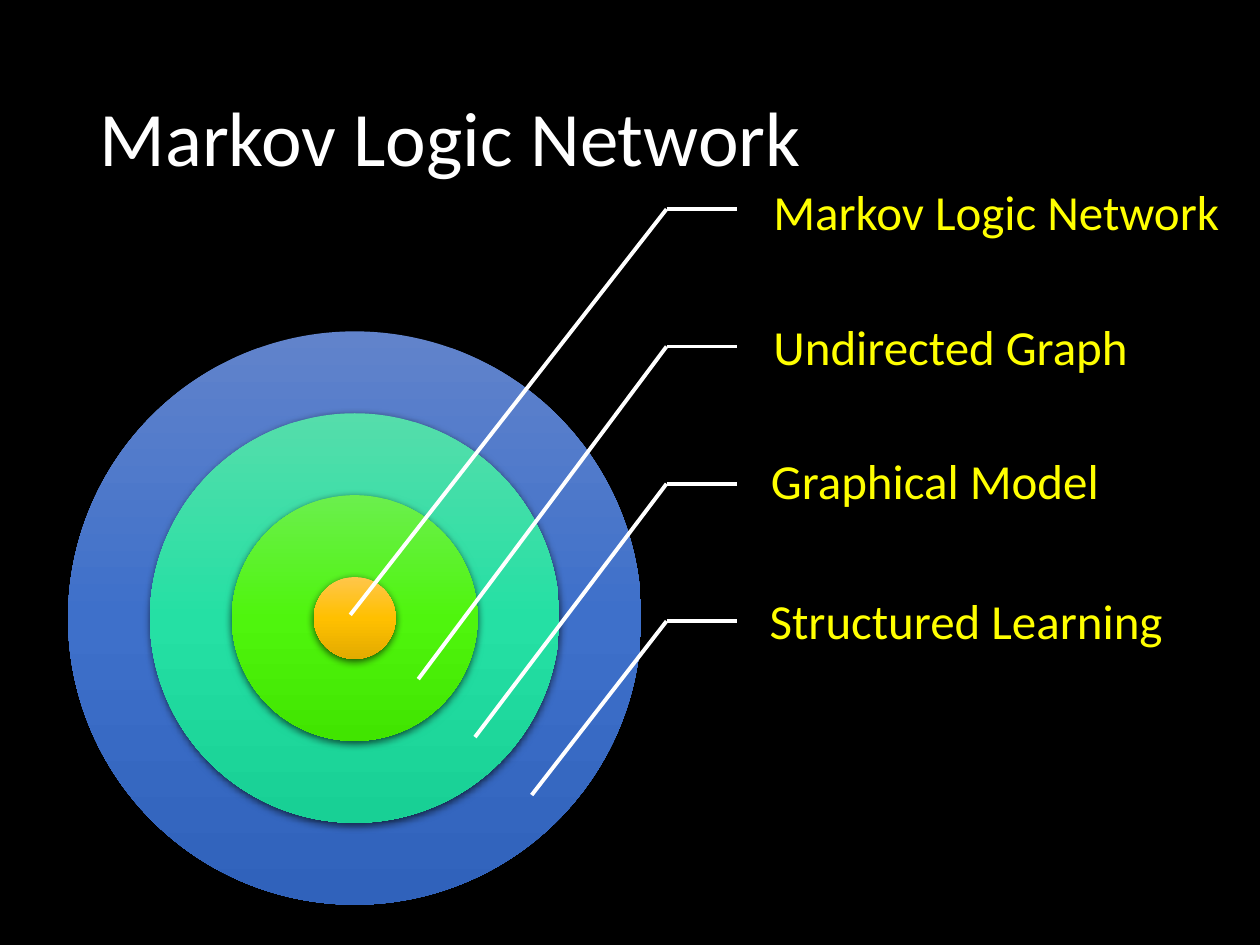
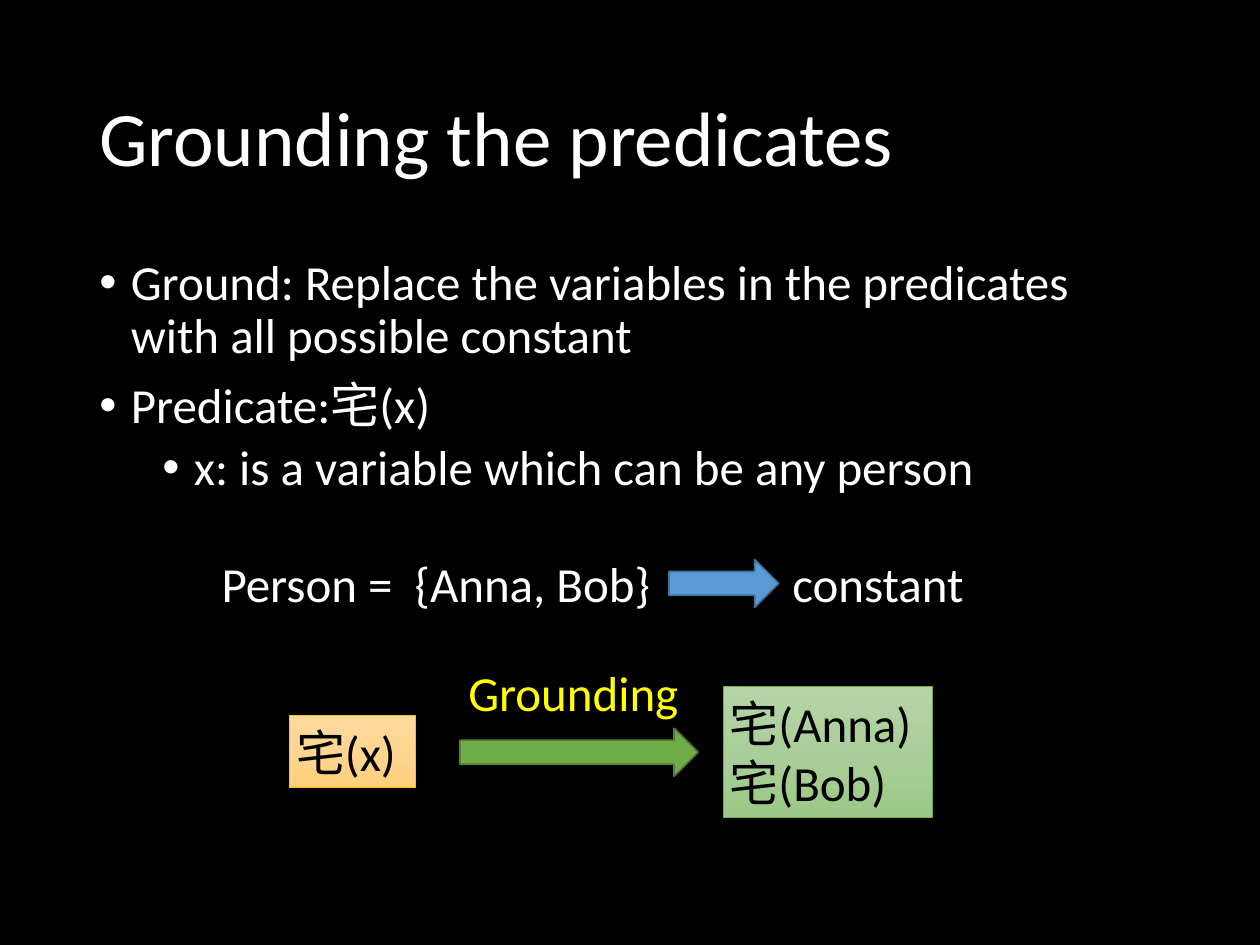
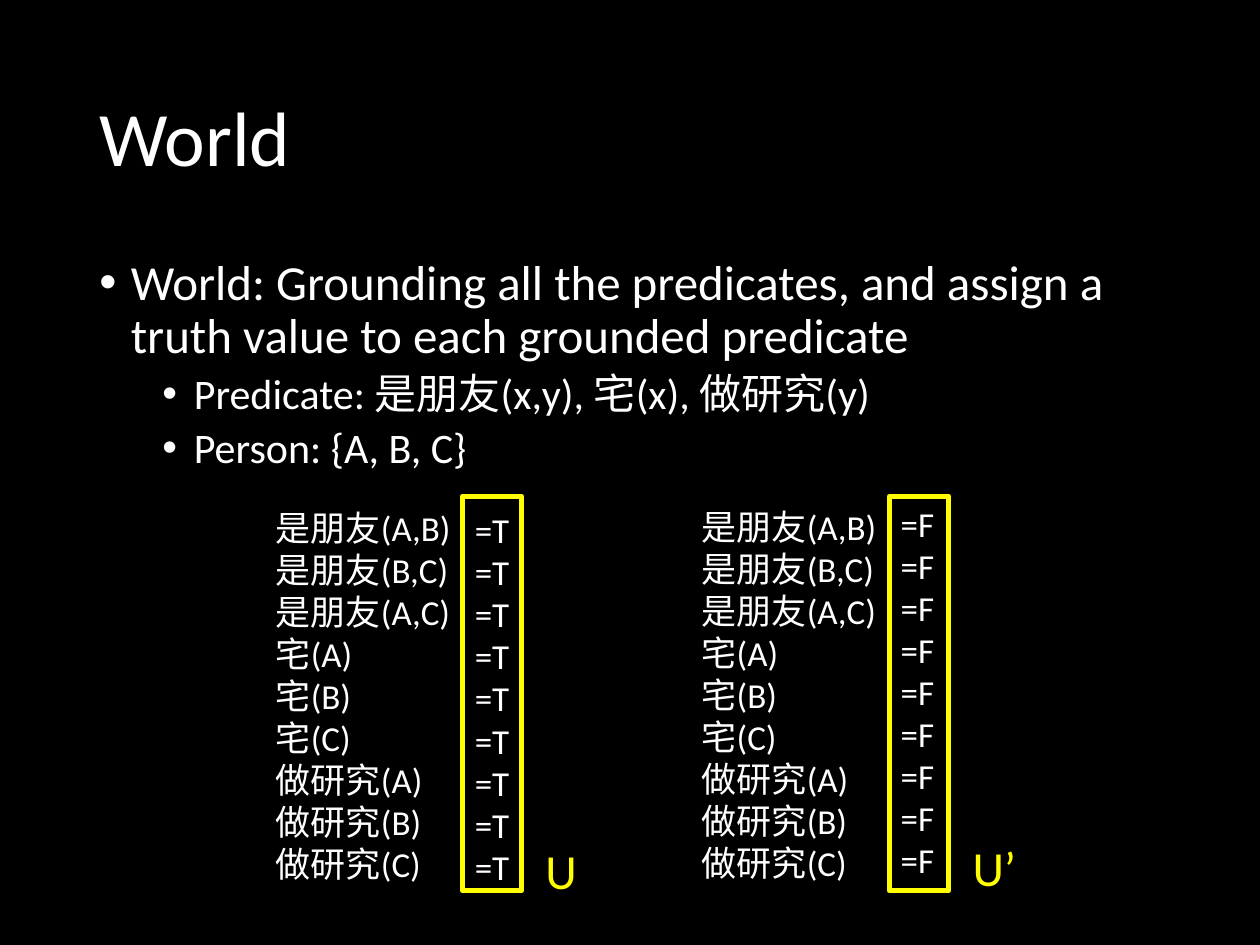
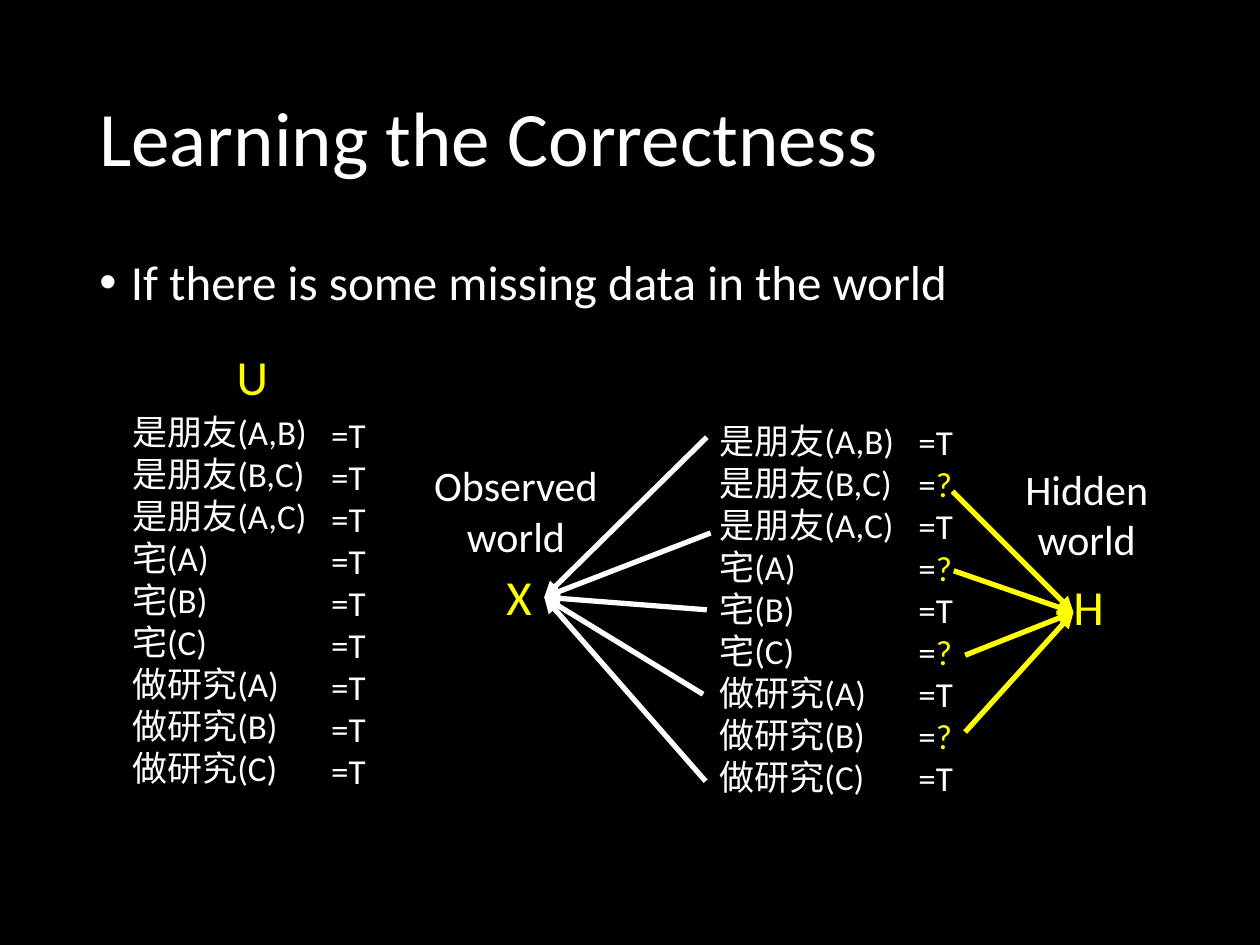
from lxml.etree import SubElement as Sub
from pptx import Presentation
from pptx.dml.color import RGBColor as Rgb
from pptx.enum.shapes import MSO_CONNECTOR as Link, MSO_SHAPE as Form
from pptx.enum.text import MSO_ANCHOR as Anchor, MSO_AUTO_SIZE as Fit, PP_ALIGN as Align
from pptx.oxml.ns import qn
from pptx.util import Inches, Pt

COLS, ROWS = 100, 75
CELL = Inches(10) // COLS
FONT = "Calibri"
HUE = {
    "back": "000000", "text": "FFFFFF", "key": "FFFF00", "ink": "000000",
    "blue": "5B9BD5", "navy": "43739E", "green": "70AD47", "moss": "538035",
    "gold": "FFC000",
}
RINGS = [
    ("6183CB", "3E70CA", "3062BB"),
    ("55DDAB", "25E0A4", "18D095"),
    ("6BEF4D", "4FF50D", "41E500"),
    ("FFC64B", "FFC000", "E3AB00"),
]
SAND = ("FFDB9E", "FFD590", "FFD07C")
LEAF = ("B5D5A7", "AACE9A", "9CC987")
FACTS = [f"{name}({args})" for name, group in (
    ("是朋友", ("A,B", "B,C", "A,C")), ("宅", "ABC"), ("做研究", "ABC"),
) for args in group]
TITLE = (6.9, 4, 86.2, 14.5)
BODY = (6.9, 20, 86.2, 47.6)


def grid(*vals):
    return [round(val * CELL) for val in vals]


def rgb(name):
    return Rgb.from_string(HUE[name])


def write(par, word, size, hue):
    run = par.add_run()
    run.text = word
    run.font.name = FONT
    run.font.size = Pt(size)
    run.font.color.rgb = rgb(hue)


def text(page, box, rows, size=28, hue="text", wrap=True, align=Align.LEFT):
    item = page.shapes.add_textbox(*grid(*box))
    frame = item.text_frame
    frame.word_wrap = wrap
    frame.auto_size = Fit.SHAPE_TO_FIT_TEXT
    for num, row in enumerate(rows):
        par = frame.add_paragraph() if num else frame.paragraphs[0]
        par.alignment = align
        for word, tint in [(row, hue)] if isinstance(row, str) else row:
            write(par, word, size, tint)
    return item


def shade(item, stops):
    item.fill.gradient()
    item.fill.gradient_angle = 270
    found = next(item._element.iter(qn("a:gsLst")))
    for old in list(found):
        found.remove(old)
    for num, tint in enumerate(stops):
        stop = Sub(found, qn("a:gs"), pos=str(num * 50000))
        Sub(stop, qn("a:srgbClr"), val=tint)


def drop(item):
    item.shadow.inherit = False
    glow = item._element.spPr.find(qn("a:effectLst"))
    cast = Sub(glow, qn("a:outerShdw"), blurRad=str(Pt(4.5)), dist=str(Pt(1.5)),
               dir="5400000", algn="ctr", rotWithShape="0")
    tint = Sub(cast, qn("a:srgbClr"), val=HUE["ink"])
    Sub(tint, qn("a:alpha"), val="63000")


def edge(item, hue, width):
    item.line.color.rgb = rgb(hue)
    item.line.width = Pt(width)


def line(page, start, end, hue="text", width=2.25, head=False):
    item = page.shapes.add_connector(Link.STRAIGHT, *grid(*start, *end))
    edge(item, hue, width)
    if head:
        Sub(item.line._get_or_add_ln(), qn("a:tailEnd"), type="triangle")
    Sub(item._element.spPr, qn("a:effectLst"))


def arrow(page, box, fill, rim):
    item = page.shapes.add_shape(Form.RIGHT_ARROW, *grid(*box))
    item.shadow.inherit = False
    item.fill.solid()
    item.fill.fore_color.rgb = rgb(fill)
    edge(item, rim, 1)


def card(page, box, rows, stops, rim):
    item = text(page, box, rows, hue="ink", wrap=False)
    frame = item.text_frame
    frame.margin_left, frame.margin_right = grid(0.5, 0)
    frame.margin_top, frame.margin_bottom = grid(0.3, 0.3)
    frame.vertical_anchor = Anchor.MIDDLE
    shade(item, stops)
    edge(item, rim, 0.5)


def start(deck, title, points=()):
    page = deck.slides.add_slide(deck.slide_layouts[6])
    head = page.shapes.add_textbox(*grid(*TITLE)).text_frame
    head.word_wrap = True
    head.vertical_anchor = Anchor.MIDDLE
    head.paragraphs[0].line_spacing = 0.9
    write(head.paragraphs[0], title, 44, "text")
    if points:
        bullets(page, BODY, points)
    return page


def bullets(page, box, points):
    frame = page.shapes.add_textbox(*grid(*box)).text_frame
    frame.word_wrap = True
    for num, (level, size, word) in enumerate(points):
        par = frame.add_paragraph() if num else frame.paragraphs[0]
        par.level = level
        props = par._p.get_or_add_pPr()
        props.set("marL", str(Inches(0.25 + 0.5 * level)))
        props.set("indent", str(Inches(-0.25)))
        Sub(props, qn("a:buFont"), typeface="Arial")
        Sub(props, qn("a:buChar"), char="•")
        par.line_spacing = 0.9
        if num:
            par.space_before = Pt(5 if level else 10)
        write(par, word, size, "text")


def rings(page, box):
    left, top, wide, high = box
    for num, stops in enumerate(RINGS):
        gap = num * wide / 7
        item = page.shapes.add_shape(
            Form.OVAL, *grid(left + gap, top + gap, wide - 2 * gap, high - 2 * gap))
        shade(item, stops)
        item.line.fill.background()
        drop(item)


def leads(page, box, parts):
    left, top, wide, high = box
    step = high / (len(parts) - 1)
    for num, (word, tip, (dx, dy)) in enumerate(parts):
        knee = (left, top + num * step)
        line(page, knee, (left + wide, knee[1]))
        line(page, knee, (left + tip[0], top + tip[1]))
        text(page, (left + dx, top + dy, 38.4, 5.7), [word], hue="key")


def world(page, box, marks, shift=0.2):
    left, top, wide, high = box
    vals = [[("=", "text"), ("?", "key")] if mark == "?" else "=" + mark
            for mark in marks]
    text(page, (left, top, 16.6, high), FACTS, 20, wrap=False)
    text(page, (left + 15.8, top + shift, wide - 15.8, high), vals, 20)


def frame(page, box, name, spot):
    left, top, wide, high = box
    item = page.shapes.add_shape(Form.RECTANGLE, *grid(*box))
    item.shadow.inherit = False
    item.fill.background()
    edge(item, "key", 3)
    text(page, (left + wide + 0.9, top + spot, 5.5, 5.7), [name], hue="key", wrap=False)


def ground(page, box):
    left, top, wide, high = box
    card(page, (left, top + 4.7, 10, 5.7), ["宅(x)"], SAND, "gold")
    card(page, (left + 34.4, top + 2.4, 16.6, 10.4), ["宅(Anna)", "宅(Bob)"], LEAF, "green")
    arrow(page, (left + 13.5, top + 5.7, 18.9, 3.8), "green", "moss")
    text(page, (left + 12.1, top, 20.8, 5.7), ["Grounding"], hue="key", align=Align.CENTER)


def person(page, box):
    left, top, wide, high = box
    text(page, (left, top, 41.5, high), ["Person =  {Anna, Bob}"])
    text(page, (left + 45.3, top, 21.6, high), ["constant"])
    arrow(page, (left + 36.5, top + 1, 8.7, 3.8), "blue", "navy")


def fan(page, hub, ends, hue):
    for end in ends:
        line(page, end, hub, hue, 3, True)


def main():
    deck = Presentation()
    deck.slide_width, deck.slide_height = grid(COLS, ROWS)
    back = deck.slide_master.background.fill
    back.solid()
    back.fore_color.rgb = rgb("back")

    page = start(deck, "Markov Logic Network")
    rings(page, (5.4, 26.3, 45.5, 45.5))
    leads(page, (52.9, 16.6, 5.6, 32.7), [
        ("Markov Logic Network", (-25.1, 32.2), (7.5, -2.7)),
        ("Undirected Graph", (-19.7, 37.3), (7.5, 8)),
        ("Graphical Model", (-15.2, 41.9), (7.3, 18.7)),
        ("Structured Learning", (-10.7, 46.5), (7.2, 29.8)),
    ])

    page = start(deck, "Grounding the predicates", [
        (0, 28, "Ground: Replace the variables in the predicates with all possible constant"),
        (0, 28, "Predicate:宅(x)"),
        (1, 28, "x: is a variable which can be any person"),
    ])
    person(page, (16.6, 43.4, 66.9, 5.7))
    ground(page, (23, 52.1, 51, 12.8))

    page = start(deck, "World", [
        (0, 28, "World: Grounding all the predicates, and assign a truth value"
                " to each grounded predicate"),
        (1, 24, "Predicate: 是朋友(x,y), 宅(x), 做研究(y)"),
        (1, 24, "Person: {A, B, C}"),
    ])
    world(page, (20.9, 39.7, 29.1, 31.3), "T" * 9)
    world(page, (54.7, 39.6, 29.1, 31.3), "F" * 9, -0.2)
    frame(page, (36.7, 39.4, 4.7, 31.3), "U", 26.8)
    frame(page, (70.6, 39.4, 4.7, 31.3), "U’", 26.6)

    page = start(deck, "Learning the Correctness", [
        (0, 28, "If there is some missing data in the world"),
    ])
    world(page, (9.5, 32.1, 29.1, 31.3), "T" * 9)
    world(page, (56.1, 32.8, 29.1, 31.3), "T?T?T?T?T", 0.1)
    for name, left, top in (("U", 17.8, 27), ("X", 39.2, 44.5), ("H", 84.2, 45.3)):
        text(page, (left, top, 4.5, 5.7), [name], hue="key", wrap=False)
    text(page, (79.4, 36.3, 13.7, 9.1), ["Hidden world"], 24, align=Align.CENTER)
    text(page, (33.1, 36, 15.7, 9.1), ["Observed", "world"], 24, align=Align.CENTER)
    fan(page, (85.2, 48.6), [(75.6, 39), (75.7, 45.3), (76.6, 52), (76.6, 58.1)], "key")
    fan(page, (43.2, 47.4),
        [(56.1, 34.7), (56.4, 42.3), (55.8, 55.1), (56.1, 48.4), (56, 62)], "text")

    deck.save("out.pptx")


if __name__ == "__main__":
    main()
